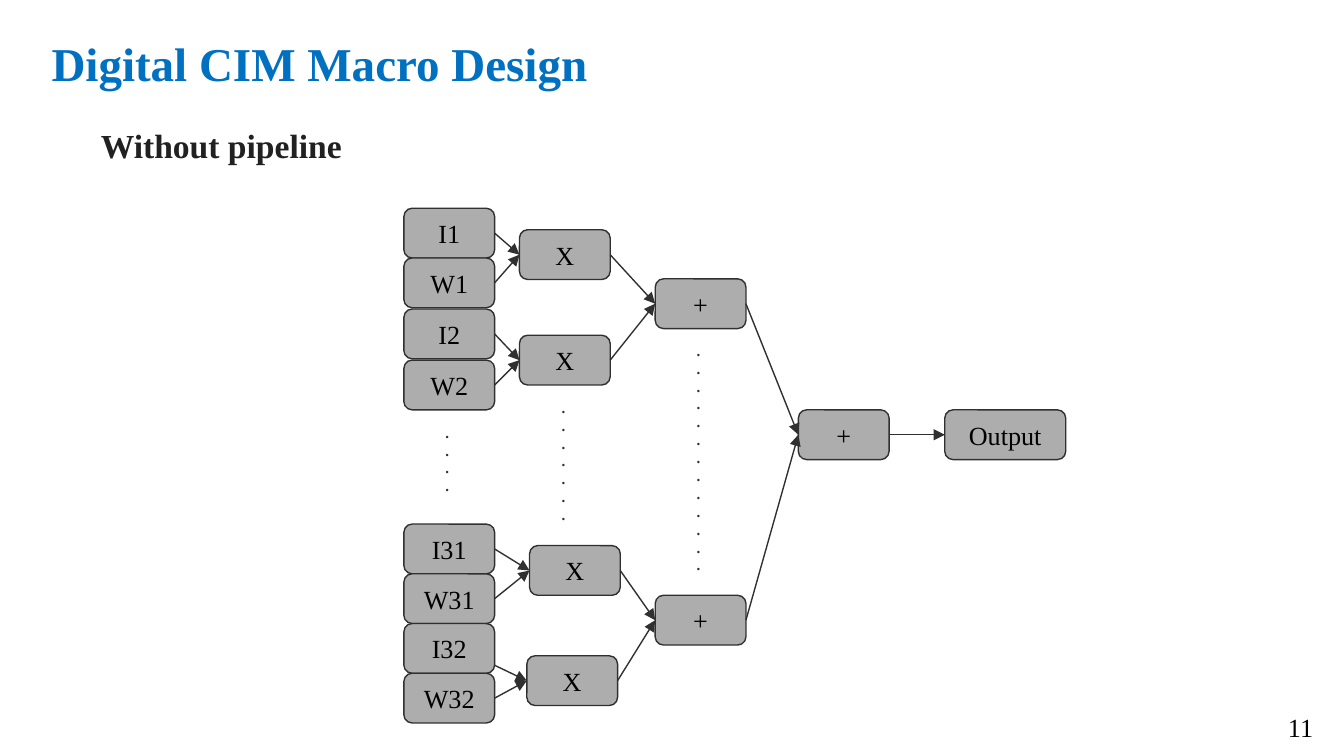
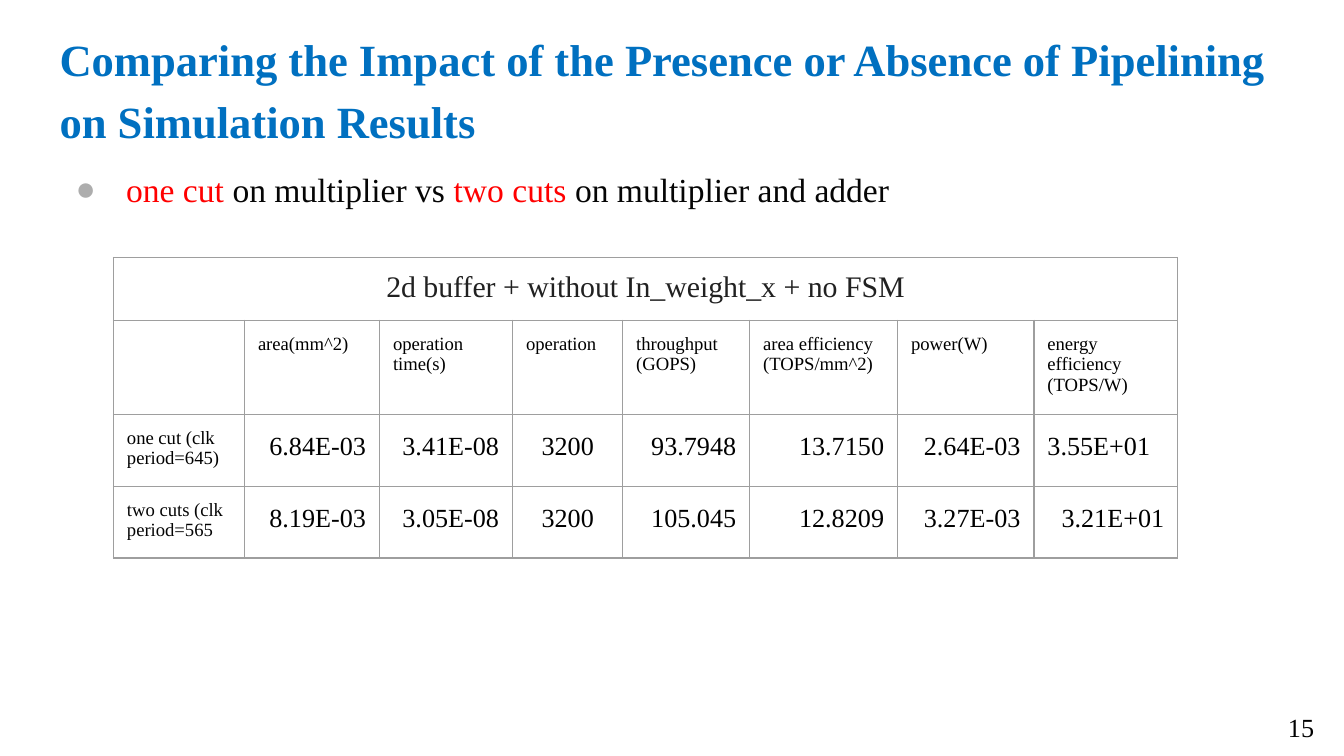
"""Builds two slides on a digital CIM macro: adder tree and pipelining results."""
from lxml.etree import SubElement
from pptx import Presentation
from pptx.dml.color import RGBColor
from pptx.enum.shapes import MSO_CONNECTOR, MSO_SHAPE
from pptx.enum.text import MSO_ANCHOR, PP_ALIGN
from pptx.oxml import parse_xml
from pptx.oxml.ns import nsdecls, qn
from pptx.util import Pt

PX = 4572
FONT = "Times New Roman"
BLUE = RGBColor(0x00, 0x70, 0xC0)
RED = RGBColor(0xFF, 0x00, 0x00)
BLACK = RGBColor(0x00, 0x00, 0x00)
INK = RGBColor(0x05, 0x05, 0x05)
DARK = RGBColor(0x21, 0x21, 0x21)
LINE = RGBColor(0x30, 0x30, 0x30)
GRAY = RGBColor(0xAD, 0xAD, 0xAD)
GRID = RGBColor(0x9E, 0x9E, 0x9E)


def style(tf, size, color, bold=False, spacing=None, align=None):
    """Format every paragraph of a text frame."""
    tf.word_wrap = True
    for p in tf.paragraphs:
        p.alignment = align
        p.line_spacing = spacing
        p.font.name = FONT
        p.font.size = Pt(size)
        p.font.bold = bold
        p.font.color.rgb = color


def add_text(s, x, y, w, h, text, size, color, bold=False, spacing=None, margin=20):
    """Add a styled text box and return its text frame."""
    tf = s.shapes.add_textbox(x * PX, y * PX, w * PX, h * PX).text_frame
    tf.margin_left = tf.margin_right = 20 * PX
    tf.margin_top = tf.margin_bottom = margin * PX
    tf.text = text
    style(tf, size, color, bold, spacing)
    return tf


prs = Presentation()
prs.slide_width, prs.slide_height = 2000 * PX, 1125 * PX
slides = []
for number, title, x, y, w, h, size, spacing in [
    ("11", "Digital CIM Macro Design", 57, 32, 1864, 126, 25.2, None),
    ("15", "Comparing the Impact of the Presence or Absence of Pipelining "
     "on Simulation Results", 69, 16, 1864, 206, 23.9, 1.15),
]:
    s = prs.slides.add_slide(prs.slide_layouts[6])
    add_text(s, x, y, w, h, title, size, BLUE, True, spacing)
    add_text(s, 1897, 1049, 126, 68, number, 14, BLACK, margin=10)
    slides.append(s)

s = slides[0]
tf = add_text(s, 68, 157, 1864, 116, "Without pipeline", 18, DARK, True, 1.15)
tf.margin_left = 82 * PX

levels = [
    [("I1", 601, 310), ("W1", 601, 384), ("I2", 601, 460), ("W2", 601, 536),
     ("I31", 601, 780), ("W31", 601, 854), ("I32", 601, 928), ("W32", 601, 1002)],
    [("X", 773, 342), ("X", 773, 499), ("X", 788, 812), ("X", 784, 976)],
    [("+", 975, 415), ("+", 975, 886)],
    [("+", 1188, 610)],
    [("Output", 1406, 610)],
]
tree = []
for level in levels:
    boxes = []
    for label, x, y in level:
        w = 180 if label == "Output" else 135
        sp = s.shapes.add_shape(MSO_SHAPE.ROUNDED_RECTANGLE, x * PX, y * PX, w * PX, 74 * PX)
        sp.shadow.inherit = False
        sp.fill.solid()
        sp.fill.fore_color.rgb = GRAY
        sp.line.color.rgb = LINE
        sp.line.width = Pt(0.75)
        tf = sp.text_frame
        tf.text = label
        tf.vertical_anchor = MSO_ANCHOR.MIDDLE
        style(tf, 14, BLACK, align=PP_ALIGN.CENTER)
        boxes.append(sp)
    tree.append(boxes)

for sources, targets in zip(tree, tree[1:]):
    for i, source in enumerate(sources):
        arrow = s.shapes.add_connector(MSO_CONNECTOR.STRAIGHT, 736 * PX, 990 * PX, 784 * PX, 1013 * PX)
        if source.text_frame.text != "I32":
            arrow.begin_connect(source, 3)
        arrow.end_connect(targets[i // 2], 1)
        arrow.line.color.rgb = LINE
        arrow.line.width = Pt(0.75)
        SubElement(arrow.line._get_or_add_ln(), qn("a:tailEnd"), type="triangle")
        SubElement(arrow._element.spPr, qn("a:effectLst"))

for x, y, h, count in [(643, 610, 148, 4), (816, 573, 208, 7), (1017, 488, 396, 13)]:
    add_text(s, x, y, 52, h, "\n".join("." * count), 8, LINE, True)

s = slides[1]
tf = add_text(s, 68, 222, 1864, 748, "", 18, INK, spacing=1.15)
p = tf.paragraphs[0]
for text, color in [("one cut ", RED), ("on multiplier vs ", INK),
                    ("two cuts ", RED), ("on multiplier and adder", INK)]:
    r = p.add_run()
    r.text = text
    r.font.color.rgb = color
pPr = p._p.get_or_add_pPr()
pPr.set("marL", str(100 * PX))
pPr.set("indent", str(-75 * PX))
bullet = [f'<a:buClr {nsdecls("a")}><a:srgbClr val="{GRAY}"/></a:buClr>',
          f'<a:buFont {nsdecls("a")} typeface="{FONT}"/>',
          f'<a:buChar {nsdecls("a")} char="●"/>']
for i, xml in enumerate(bullet, 1):
    pPr.insert(i, parse_xml(xml))

rows = [
    ["2d buffer + without In_weight_x + no FSM"] + [""] * 7,
    ["", "area(mm^2)", "operation time(s)", "operation", "throughput\n(GOPS)",
     "area efficiency\n(TOPS/mm^2)", "power(W)", "energy efficiency\n(TOPS/W)"],
    ["one cut (clk period=645)", "6.84E-03", "3.41E-08", "3200", "93.7948",
     "13.7150", "2.64E-03", "3.55E+01"],
    ["two cuts (clk period=565", "8.19E-03", "3.05E-08", "3200", "105.045",
     "12.8209", "3.27E-03", "3.21E+01"],
]
widths = [195, 201, 198, 164, 189, 220, 203, 214]
heights = [84, 126, 84, 84]
frame = s.shapes.add_table(4, 8, 169 * PX, 383 * PX, sum(widths) * PX, sum(heights) * PX)
table = frame.table
table.first_row = table.horz_banding = False
for column, w in zip(table.columns, widths):
    column.width = w * PX
for row, h in zip(table.rows, heights):
    row.height = h * PX
frame.height = 446 * PX
table.cell(0, 0).merge(table.cell(0, 7))
for i, row in enumerate(rows):
    for j, text in enumerate(row):
        cell = table.cell(i, j)
        cell.text = text
        cell.margin_left = cell.margin_right = cell.margin_top = cell.margin_bottom = 20 * PX
        tcPr = cell._tc.get_or_add_tcPr()
        for side in "LRTB":
            tcPr.append(parse_xml(
                f'<a:ln{side} {nsdecls("a")} w="9525"><a:solidFill>'
                f'<a:srgbClr val="{GRID}"/></a:solidFill></a:ln{side}>'))
        cell.fill.background()
        if i == 0:
            style(cell.text_frame, 16, DARK, align=PP_ALIGN.CENTER)
        elif i == 1 or j == 0:
            style(cell.text_frame, 10, INK if i == 3 else BLACK)
        else:
            align = PP_ALIGN.CENTER if j == 3 else PP_ALIGN.RIGHT
            if (i, j) == (2, 7):
                align = PP_ALIGN.LEFT
            style(cell.text_frame, 14, BLACK, spacing=1.15, align=align)
        for p in cell.text_frame.paragraphs:
            for r in p.runs:
                r.font.name = FONT

prs.save("out.pptx")
